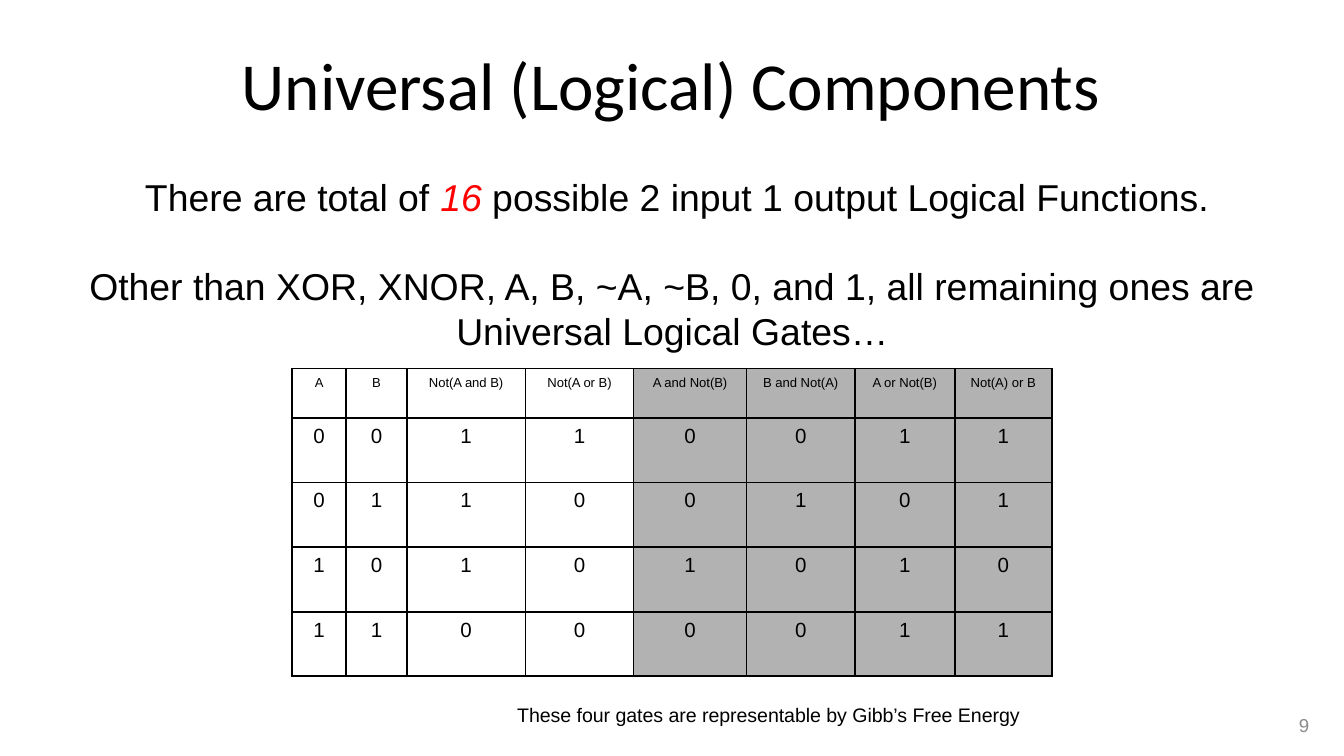
"""Builds the slide on universal logical components with its truth table."""
import pptx
import pptx.dml.color
import pptx.enum.shapes
import pptx.enum.text
import pptx.oxml
import pptx.util

Pt = pptx.util.Pt
ALIGN = pptx.enum.text.PP_ALIGN
ANCHOR = pptx.enum.text.MSO_ANCHOR
BLACK, WHITE, GRAY, RED = "000000", "FFFFFF", "B2B2B2", "FF0000"
DRAWING_NS = "http://schemas.openxmlformats.org/drawingml/2006/main"


def color(hex_value):
    return pptx.dml.color.RGBColor.from_string(hex_value)


def style(paragraph, size, align, font="Arial", ink=BLACK):
    paragraph.alignment = align
    paragraph.font.name = font
    paragraph.font.size = Pt(size)
    paragraph.font.color.rgb = color(ink)


presentation = pptx.Presentation()
presentation.slide_width = Pt(720)
presentation.slide_height = Pt(405)
slide = presentation.slides.add_slide(presentation.slide_layouts[6])

labels = [
    ("Universal (Logical) Components", (119.5, 19.5, 480, 51), 36, ALIGN.CENTER, "Calibri", BLACK, ANCHOR.TOP),
    ("9", (682, 378, 26.5, 21), 10, ALIGN.RIGHT, "Arial", "8C8C8C", ANCHOR.MIDDLE),
    ("These four gates are representable by Gibb’s Free Energy", (270, 373, 288.5, 20), 10.5, ALIGN.LEFT,
     "Arial", BLACK, ANCHOR.TOP),
]
for text, place, size, align, font, ink, anchor in labels:
    label = slide.shapes.add_textbox(*map(Pt, place)).text_frame
    label.word_wrap = False
    label.vertical_anchor = anchor
    label.text = text
    style(label.paragraphs[0], size, align, font, ink)

statement = slide.shapes.add_shape(
    pptx.enum.shapes.MSO_SHAPE.RECTANGLE, Pt(38), Pt(89.5), Pt(644.5), Pt(104.5))
statement.shadow.inherit = False
statement.fill.solid()
statement.fill.fore_color.rgb = color(WHITE)
statement.line.fill.background()
claims = statement.text_frame
claims.word_wrap = False
claims.vertical_anchor = ANCHOR.TOP
claims.text = (
    "\nOther than XOR, XNOR, A, B, ~A, ~B, 0, and 1, all remaining ones are"
    "\nUniversal Logical Gates…")
for claim in claims.paragraphs:
    style(claim, 20, ALIGN.CENTER)
    claim.line_spacing = Pt(24)
claims.paragraphs[1].space_before = Pt(24)
for part in (" There are total of ", "16", " possible 2 input 1 output Logical Functions."):
    run = claims.paragraphs[0].add_run()
    run.text = part
    if part == "16":
        run.font.italic = True
        run.font.color.rgb = color(RED)

truth_rows = [
    ["A", "B", "Not(A and B)", "Not(A or B)", "A and Not(B)", "B and Not(A)", "A or Not(B)", "Not(A) or B"],
    "00110011",
    "01100101",
    "10101010",
    "11000011",
]
column_widths = [29, 32.5, 63.5, 58, 60.5, 58, 53.5, 52]
row_heights = [26.5] + [34.6] * 4
truth_table = slide.shapes.add_table(
    len(row_heights), len(column_widths), Pt(156.5), Pt(197.5),
    Pt(sum(column_widths)), Pt(sum(row_heights))).table
truth_table.first_row = False
truth_table.horz_banding = False
for column, width in zip(truth_table.columns, column_widths):
    column.width = Pt(width)
for row, height in zip(truth_table.rows, row_heights):
    row.height = Pt(height)

for row_index, values in enumerate(truth_rows):
    for column_index, value in enumerate(values):
        cell = truth_table.cell(row_index, column_index)
        cell.margin_left = cell.margin_right = cell.margin_top = cell.margin_bottom = Pt(3.6)
        cell.text = value
        style(cell.text_frame.paragraphs[0], 11 if row_index else 7, ALIGN.CENTER)
        for side in ("lnL", "lnR", "lnT", "lnB"):
            cell._tc.get_or_add_tcPr().append(pptx.oxml.parse_xml(
                f'<a:{side} xmlns:a="{DRAWING_NS}" w="{Pt(1)}"><a:solidFill>'
                f'<a:srgbClr val="{BLACK}"/></a:solidFill></a:{side}>'))
        cell.fill.solid()
        cell.fill.fore_color.rgb = color(GRAY if column_index >= 4 else WHITE)

presentation.save("out.pptx")
